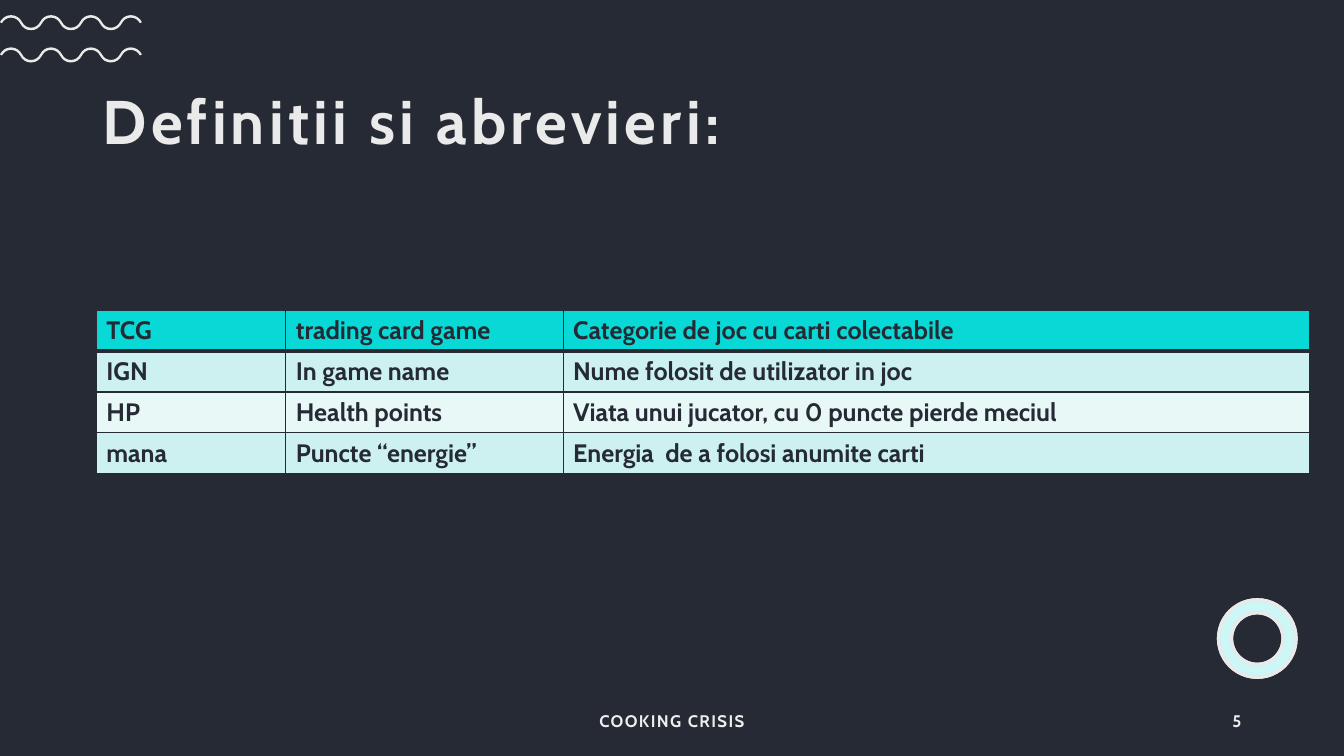
"""Build the definitions and abbreviations slide."""
from lxml import etree
from pptx import Presentation, util as u
from pptx.dml.color import RGBColor
from pptx.enum import shapes, text
from pptx.oxml import ns

TITLE = "Definitii si abrevieri:"
TERMS = [
    ("TCG", "trading card game", "Categorie de joc cu carti colectabile"),
    ("IGN", "In game name", "Nume folosit de utilizator in joc"),
    ("HP", "Health points", "Viata unui jucator, cu 0 puncte pierde meciul"),
    ("mana", "Puncte “energie”", "Energia  de a folosi anumite carti"),
]
FOOTER = [
    ("COOKING CRISIS", 4.415, 4.5, text.PP_ALIGN.CENTER),
    ("5", 9.41, 3, text.PP_ALIGN.RIGHT),
]
COLORS = {"dark": "252A34", "light": "EAEAEA", "footer": "EFEFEF", "white": "FFFFFF",
          "cyan": "08D9D6", "odd": "CCF1F0", "even": "E7F8F7"}
ROW_FILLS = ["cyan", "odd", "even", "odd"]
COLUMN_WIDTHS = [1.88, 2.75, 7.4]
ROW_HEIGHT = 0.405
WAVE_TOPS = [0.47, 0.15]
WAVE_BENDS = 7
FIRST_CREST, BEND_GAP = 0.11, 0.198
UPPER_EDGE = {"crest": 0, "middle": 0.07, "trough": 0.125, "crest_reach": 0.11, "trough_reach": 0.09}
LOWER_EDGE = {"crest": 0.025, "middle": 0.08, "trough": 0.15, "crest_reach": 0.09, "trough_reach": 0.11}
RINGS = [("white", 100), ("cyan", 20)]
RING_SIZE = 0.77


def color(name):
    return RGBColor.from_string(COLORS[name])


def write(frame, words, size=18, ink="dark", align=text.PP_ALIGN.LEFT, spacing=0, leading=None):
    frame.word_wrap = True
    frame.vertical_anchor = text.MSO_ANCHOR.MIDDLE
    paragraph = frame.paragraphs[0]
    paragraph.alignment = align
    if leading:
        paragraph.line_spacing = leading
    run = paragraph.add_run()
    run.text = words
    run.font.name, run.font.size, run.font.bold = "Cabin", u.Pt(size), True
    run.font.color.rgb = color(ink)
    if spacing:
        run.font._element.set("spc", str(spacing * 100))


def wave_edge(top, edge):
    """Return a start point followed by three curve points per quarter wave."""
    middle = top + edge["middle"]
    points = [(FIRST_CREST - edge["crest_reach"], middle)]
    for bend in range(WAVE_BENDS):
        kind = "trough" if bend % 2 else "crest"
        x, y = FIRST_CREST + bend * BEND_GAP, top + edge[kind]
        dx, dy = edge[kind + "_reach"], y - middle
        points += [(x - 0.8 * dx, middle + 0.6 * dy), (x - 0.45 * dx, y), (x, y),
                   (x + 0.45 * dx, y), (x + 0.8 * dx, middle + 0.6 * dy), (x + dx, middle)]
    return points


def draw_wave(slide, top):
    upper, lower = wave_edge(top, UPPER_EDGE), wave_edge(top, LOWER_EDGE)
    outline = [(u.Inches(x), u.Inches(y)) for x, y in upper + lower[::-1]]
    builder = slide.shapes.build_freeform(*outline[0])
    builder.add_line_segments(outline[1:], close=True)
    wave = builder.convert_to_shape()
    lines = list(wave._element.iter(ns.qn("a:lnTo")))
    turn = len(upper) - 1
    curved = lines[:turn] + lines[turn + 1:]
    for first in range(0, len(curved), 3):
        curve = etree.Element(ns.qn("a:cubicBezTo"))
        curved[first].addprevious(curve)
        for line in curved[first:first + 3]:
            curve.append(line[0])
            line.getparent().remove(line)
    wave.shadow.inherit = False
    wave.fill.solid()
    wave.fill.fore_color.rgb = color("light")
    wave.line.fill.background()


def draw_ring(slide, fill, opacity):
    ring = slide.shapes.add_shape(shapes.MSO_SHAPE.DONUT, u.Inches(12.085), u.Inches(5.95),
                                  u.Inches(RING_SIZE), u.Inches(RING_SIZE))
    ring.adjustments[0] = 0.13 / RING_SIZE
    ring.shadow.inherit = False
    ring.fill.solid()
    ring.fill.fore_color.rgb = color(fill)
    if opacity < 100:
        tone = ring._element.spPr.find(ns.qn("a:solidFill"))[0]
        etree.SubElement(tone, ns.qn("a:alpha"), val=str(opacity * 1000))
    ring.line.color.rgb = color("light")
    ring.line.width = u.Pt(2.25)


def set_borders(cell, widths):
    properties = cell._tc.get_or_add_tcPr()
    for place, (side, width) in enumerate(widths.items()):
        border = etree.Element(ns.qn("a:ln" + side), w=str(u.Pt(width)))
        fill = etree.SubElement(border, ns.qn("a:solidFill"))
        etree.SubElement(fill, ns.qn("a:srgbClr"), val=COLORS["dark"])
        properties.insert(place, border)


def draw_terms(slide):
    terms = slide.shapes.add_table(len(TERMS), len(COLUMN_WIDTHS), u.Inches(0.955), u.Inches(3.08),
                                   u.Inches(sum(COLUMN_WIDTHS)),
                                   u.Inches(ROW_HEIGHT * len(TERMS))).table
    for column, width in zip(terms.columns, COLUMN_WIDTHS):
        column.width = u.Inches(width)
    for r, (entry, fill) in enumerate(zip(TERMS, ROW_FILLS)):
        terms.rows[r].height = u.Inches(ROW_HEIGHT)
        for c, words in enumerate(entry):
            cell = terms.cell(r, c)
            cell.fill.solid()
            cell.fill.fore_color.rgb = color(fill)
            set_borders(cell, {"L": 1, "R": 1, "T": 3 if r == 1 else 1, "B": 3 if r == 0 else 1})
            write(cell.text_frame, words)
            cell.vertical_anchor = text.MSO_ANCHOR.TOP


def main():
    deck = Presentation()
    deck.slide_width, deck.slide_height = u.Inches(13.33), u.Inches(7.5)
    slide = deck.slides.add_slide(deck.slide_layouts[5])
    slide.background.fill.solid()
    slide.background.fill.fore_color.rgb = color("dark")
    for top in WAVE_TOPS:
        draw_wave(slide, top)
    for fill, opacity in RINGS:
        draw_ring(slide, fill, opacity)
    title = slide.shapes.title
    title.left, title.top = u.Inches(0.92), u.Inches(0.62)
    title.width, title.height = u.Inches(11.5), u.Inches(1.23)
    title.text_frame.auto_size = text.MSO_AUTO_SIZE.NONE
    write(title.text_frame, TITLE, size=44, ink="light", spacing=3, leading=0.9)
    for words, left, width, align in FOOTER:
        box = slide.shapes.add_textbox(u.Inches(left), u.Inches(6.95), u.Inches(width), u.Inches(0.4))
        write(box.text_frame, words, size=12, ink="footer", align=align, spacing=1)
    draw_terms(slide)
    deck.save("out.pptx")


if __name__ == "__main__":
    main()
